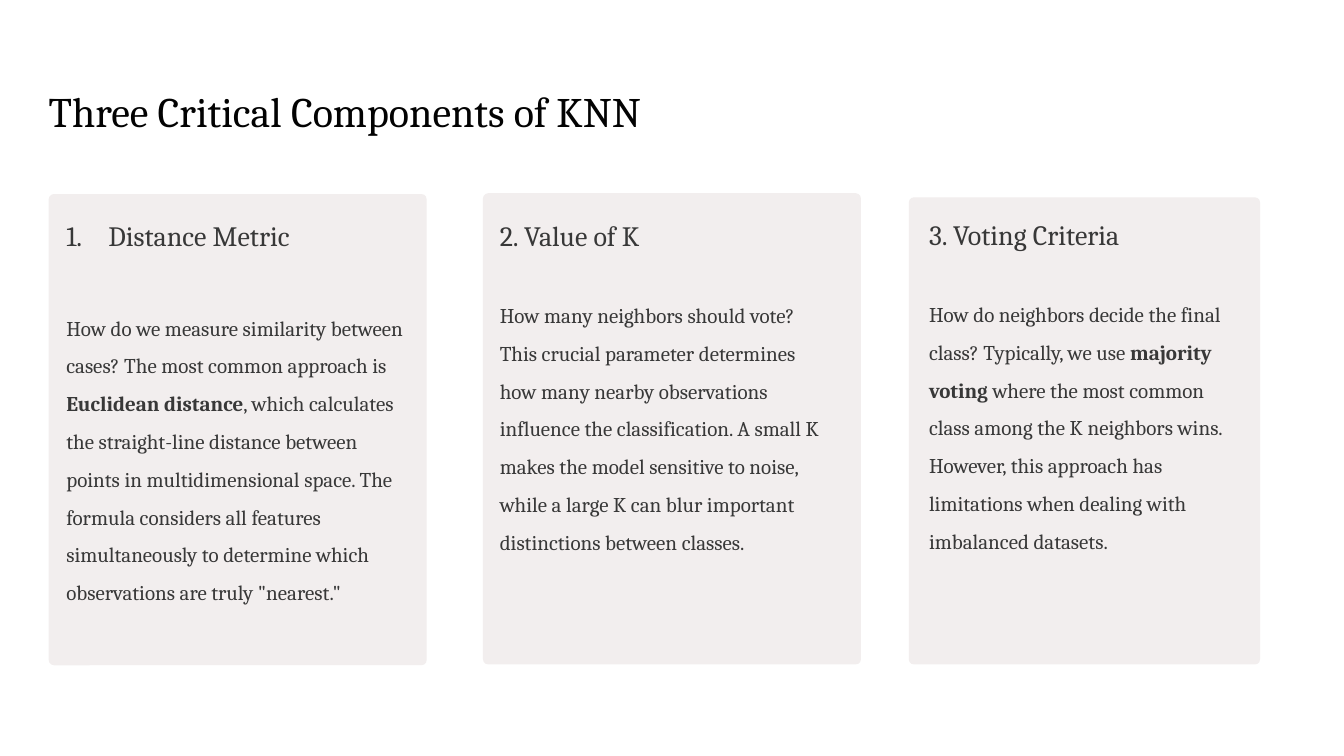
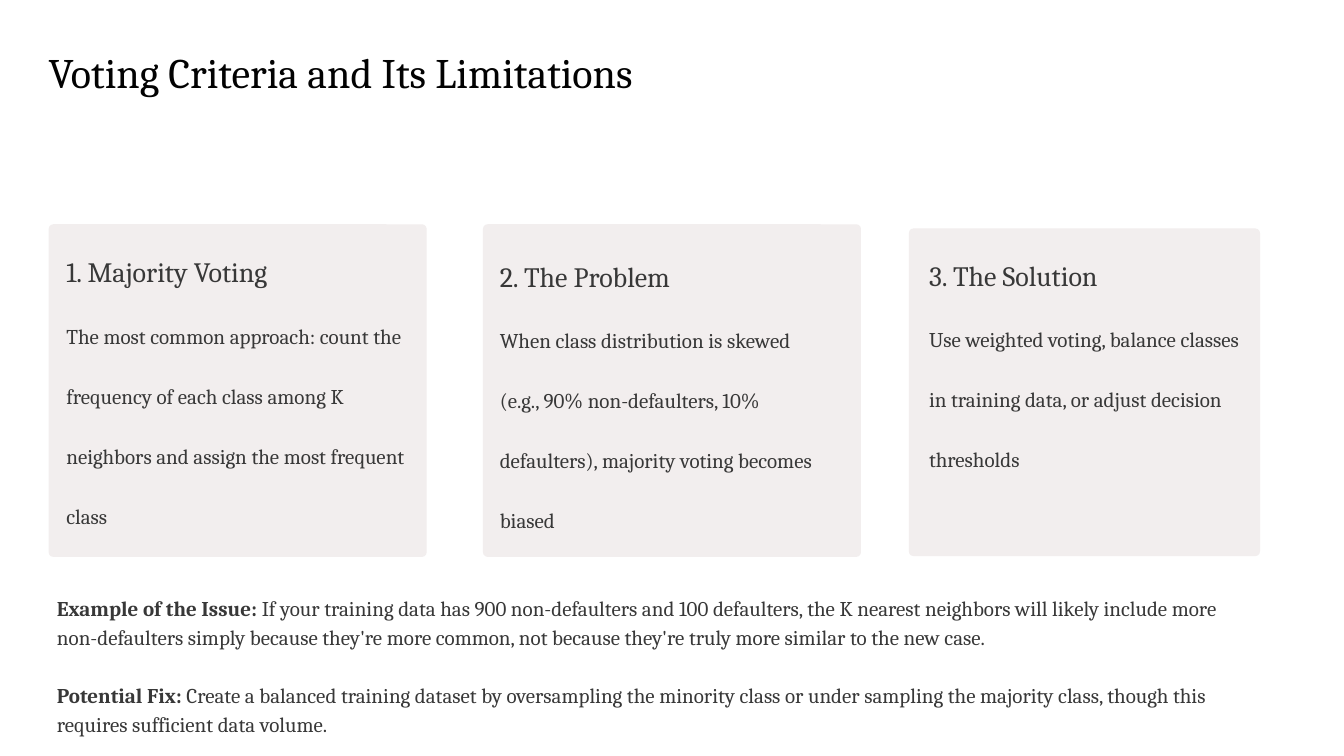
from lxml import etree
from pptx import Presentation
from pptx.dml.color import RGBColor
from pptx.enum.shapes import MSO_SHAPE
from pptx.enum.text import MSO_ANCHOR, MSO_AUTO_SIZE, PP_ALIGN
from pptx.oxml.ns import qn
from pptx.util import Inches, Pt

ROUNDED = MSO_SHAPE.ROUNDED_RECTANGLE
TOP = MSO_ANCHOR.TOP
LEFT = PP_ALIGN.LEFT
NO_AUTOFIT = MSO_AUTO_SIZE.NONE

# Shared style
COLORS = {"title": "020202", "text": "383838", "card": "F2EEEE"}
FONT = "Cambria"
TITLE_SIZE, HEADING_SIZE, BODY_SIZE = 36, 24, 18
MARGIN = 0.58
# Card left, card width, text left, text width
COLUMNS = [(MARGIN, 4.5, 0.79, 4.06), (5.75, 4.5, 5.95, 3.94), (10.82, 4.18, 11.06, 3.78)]

# Cards: card top, card height, text top, heading, space before body, body
# (text between ** marks is bold)
COMPONENT_CARDS = [
    (2.31, 5.61, 2.4, "Distance Metric", 43.2,
     "How do we measure similarity between cases? The most common approach is "
     "**Euclidean distance**, which calculates the straight-line distance between points in "
     "multidimensional space. The formula considers all features simultaneously to determine "
     'which observations are truly "nearest."'),
    (2.3, 5.61, 2.4, "2. Value of K", 32.4,
     "How many neighbors should vote? This crucial parameter determines how many nearby "
     "observations influence the classification. A small K makes the model sensitive to noise, "
     "while a large K can blur important distinctions between classes."),
    (2.35, 5.56, 2.39, "3. Voting Criteria", 32.4,
     "How do neighbors decide the final class? Typically, we use **majority voting** where the "
     "most common class among the K neighbors wins. However, this approach has limitations "
     "when dealing with imbalanced datasets."),
]
VOTING_CARDS = [
    (2.67, 3.96, 2.72, "1. Majority Voting", 0,
     "The most common approach: count the frequency of each class among K neighbors and "
     "assign the most frequent class"),
    (2.67, 3.96, 2.77, "2. The Problem", 0,
     "When class distribution is skewed (e.g., 90% non-defaulters, 10% defaulters), majority "
     "voting becomes biased"),
    (2.72, 3.9, 2.76, "3. The Solution", 0,
     "Use weighted voting, balance classes in training data, or adjust decision thresholds"),
]
NOTES = [
    "**Example of the Issue:** If your training data has 900 non-defaulters and 100 defaulters, "
    "the K nearest neighbors will likely include more non-defaulters simply because they're more "
    "common, not because they're truly more similar to the new case.",
    "**Potential Fix:** Create a balanced training dataset by oversampling the minority class or "
    "under sampling the majority class, though this requires sufficient data volume.",
]


def format_paragraph(paragraph, size, color, line_spacing, space_before=0):
    paragraph.alignment = LEFT
    paragraph.line_spacing = line_spacing
    paragraph.space_before = Pt(space_before)
    for run in paragraph.runs:
        run.font.name = FONT
        run.font.size = Pt(size)
        run.font.color.rgb = RGBColor.from_string(COLORS[color])


def add_marked_text(paragraph, text):
    for index, part in enumerate(text.split("**")):
        if part:
            run = paragraph.add_run()
            run.text = part
            run.font.bold = index % 2 == 1


def number_paragraph(paragraph):
    properties = paragraph._p.get_or_add_pPr()
    properties.set("marL", str(Inches(0.5)))
    properties.set("indent", str(-Inches(0.5)))
    etree.SubElement(properties, qn("a:buAutoNum"), type="arabicPeriod")


def set_insets(text_frame, top=0):
    text_frame.margin_left = text_frame.margin_right = text_frame.margin_bottom = 0
    text_frame.margin_top = Inches(top)


def add_titled_slide(presentation, title, top):
    slide = presentation.slides.add_slide(presentation.slide_layouts[5])
    shape = slide.shapes.title
    shape.left, shape.top = Inches(MARGIN), Inches(top)
    shape.width, shape.height = Inches(14.93), Inches(1.15)
    text_frame = shape.text_frame
    text_frame.text = title
    text_frame.vertical_anchor = TOP
    text_frame.auto_size = NO_AUTOFIT
    set_insets(text_frame, top=0.48)
    format_paragraph(text_frame.paragraphs[0], TITLE_SIZE, "title", Pt(51))
    return slide


def add_text_frame(slide, left, top, width, height):
    box = slide.shapes.add_textbox(Inches(left), Inches(top), Inches(width), Inches(height))
    box.text_frame.word_wrap = True
    return box.text_frame


def add_card(slide, column, card, line_spacing, numbered):
    left, width, text_left, text_width = column
    top, height, text_top, heading_text, space_before, body_text = card
    panel = slide.shapes.add_shape(
        ROUNDED, Inches(left), Inches(top), Inches(width), Inches(height))
    panel.adjustments[0] = 0.014
    panel.shadow.inherit = False
    panel.fill.solid()
    panel.fill.fore_color.rgb = RGBColor.from_string(COLORS["card"])
    panel.line.fill.background()

    text_frame = add_text_frame(slide, text_left, text_top, text_width, 5.32)
    set_insets(text_frame)
    heading = text_frame.paragraphs[0]
    heading.text = heading_text
    if numbered:
        number_paragraph(heading)
    format_paragraph(heading, HEADING_SIZE, "text", line_spacing)
    body = text_frame.add_paragraph()
    add_marked_text(body, body_text)
    format_paragraph(body, BODY_SIZE, "text", line_spacing, space_before)


def add_cards(slide, cards, line_spacing, number_first=False):
    for index, (column, card) in enumerate(zip(COLUMNS, cards)):
        add_card(slide, column, card, line_spacing, number_first and index == 0)


def add_notes(slide):
    text_frame = add_text_frame(slide, MARGIN, 6.99, 14.41, 2.18)
    for index, note in enumerate(NOTES):
        paragraph = text_frame.add_paragraph() if index else text_frame.paragraphs[0]
        add_marked_text(paragraph, note)
        format_paragraph(paragraph, BODY_SIZE, "text", Pt(25), 25 if index else 0)


def main():
    presentation = Presentation()
    presentation.slide_width, presentation.slide_height = Inches(16), Inches(9)

    # Components of the method
    slide = add_titled_slide(presentation, "Three Critical Components of KNN", 0.43)
    add_cards(slide, COMPONENT_CARDS, 1.5, number_first=True)

    # Voting and its limits
    slide = add_titled_slide(presentation, "Voting Criteria and Its Limitations", -0.04)
    add_cards(slide, VOTING_CARDS, Pt(51.5))
    add_notes(slide)

    presentation.save("out.pptx")


if __name__ == "__main__":
    main()
